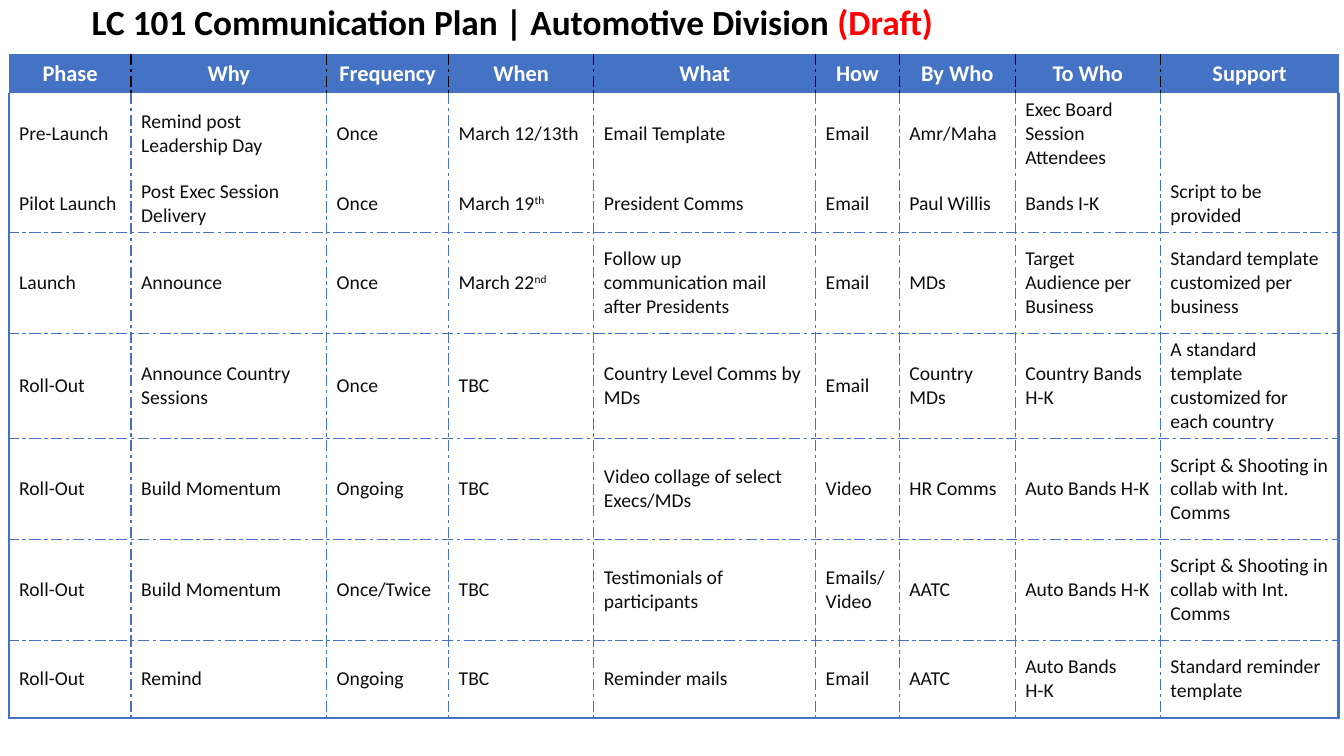
from dataclasses import dataclass

from lxml import etree
from pptx import Presentation
from pptx.dml.color import RGBColor
from pptx.enum.text import MSO_ANCHOR, MSO_AUTO_SIZE, PP_ALIGN
from pptx.oxml.ns import qn
from pptx.util import Inches, Pt

MIDDLE = MSO_ANCHOR.MIDDLE
NO_FIT = MSO_AUTO_SIZE.NONE
LEFT, CENTER = PP_ALIGN.LEFT, PP_ALIGN.CENTER


@dataclass(frozen=True)
class Theme:
    """Colours, type sizes and line widths of the slide."""
    face: str = "Calibri"
    blue: str = "4472C4"
    black: str = "000000"
    white: str = "FFFFFF"
    ink: str = "0D0D0D"
    red: str = "FF0000"
    title: float = 25.2
    head: float = 16
    body: float = 14
    thin: float = 1
    thick: float = 2.25


THEME = Theme()
COLS = [1.21, 1.94, 1.21, 1.44, 2.2, 0.83, 1.15, 1.44, 1.77]
ROWS = [0.35, 0.55, 0.55, 1, 1, 1, 1, 0.77]
PLAN = [
    ["Phase", "Why", "Frequency", "When", "What", "How", "By Who", "To Who",
     "Support"],
    ["Pre-Launch", "Remind post Leadership Day", "Once", "March 12/13th",
     "Email Template", "Email", "Amr/Maha", "Exec Board Session Attendees",
     ""],
    ["Pilot Launch", "Post Exec Session Delivery", "Once", "March 19^th",
     "President Comms", "Email", "Paul Willis", "Bands I-K",
     "Script to be provided"],
    ["Launch", "Announce", "Once", "March 22^nd",
     "Follow up communication mail after Presidents", "Email", "MDs",
     "Target Audience per Business",
     "Standard template customized per business"],
    ["Roll-Out", "Announce Country\nSessions", "Once", "TBC",
     "Country Level Comms by MDs", "Email", "Country\nMDs",
     "Country Bands H-K", "A standard template customized for each country"],
    ["Roll-Out", "Build Momentum", "Ongoing", "TBC",
     "Video collage of select Execs/MDs", "Video", "HR Comms",
     "Auto Bands H-K", "Script & Shooting in collab with Int. Comms"],
    ["Roll-Out", "Build Momentum", "Once/Twice", "TBC",
     "Testimonials of participants", "Emails/\nVideo", "AATC",
     "Auto Bands H-K", "Script & Shooting in collab with Int. Comms"],
    ["Roll-Out", "Remind", "Ongoing", "TBC", "Reminder mails", "Email",
     "AATC", "Auto Bands\nH-K", "Standard reminder template"],
]


def style(run, size, color, bold):
    """Format one run of text."""
    font = run.font
    font.name, font.size, font.bold = THEME.face, Pt(size), bold
    font.color.rgb = RGBColor.from_string(color)


def add_title(slide, left, top, width, height):
    """Place the title with its red draft mark."""
    title = slide.shapes.title
    title.left, title.top = Inches(left), Inches(top)
    title.width, title.height = Inches(width), Inches(height)
    frame = title.text_frame
    frame.auto_size, frame.vertical_anchor = NO_FIT, MIDDLE
    frame.word_wrap = True
    frame.text = "LC 101 Communication Plan | Automotive Division"
    para = frame.paragraphs[0]
    para.alignment, para.line_spacing = LEFT, 0.9
    style(para.runs[0], THEME.title, THEME.black, True)
    draft = para.add_run()
    draft.text = " (Draft)"
    style(draft, THEME.title, THEME.red, True)


def edges(row, col):
    """Give colour and width for each side of a cell, or None for no line."""
    head = row == 0
    thick = (THEME.blue, THEME.thick)
    side = (THEME.black if head else THEME.blue, THEME.thin)
    rule = (THEME.blue, THEME.thin)
    outer = None if head else thick
    return {
        "L": outer if col == 0 else side,
        "R": outer if col == len(COLS) - 1 else side,
        "T": thick if head else rule if row > 2 else None,
        "B": thick if row == len(ROWS) - 1 else rule if row > 1 else None,
    }


def add_line(cell, side, edge):
    """Draw one border of a cell."""
    props = cell._tc.get_or_add_tcPr()
    line = etree.SubElement(props, qn("a:ln" + side))
    if edge is None:
        etree.SubElement(line, qn("a:noFill"))
        return
    color, width = edge
    line.set("w", str(Pt(width)))
    fill = etree.SubElement(line, qn("a:solidFill"))
    etree.SubElement(fill, qn("a:srgbClr")).set("val", color)
    dash = "sysDashDot" if width == THEME.thin else "solid"
    etree.SubElement(line, qn("a:prstDash")).set("val", dash)


def fill_cell(cell, text, head):
    """Write and format the text and fill of a cell."""
    base, _, sup = text.partition("^")
    cell.text = base
    cell.vertical_anchor = MIDDLE
    paras = cell.text_frame.paragraphs
    if sup:
        run = paras[-1].add_run()
        run.text = sup
        run._r.get_or_add_rPr().set("baseline", "30000")
    size = THEME.head if head else THEME.body
    color = THEME.white if head else THEME.ink
    for para in paras:
        para.alignment = CENTER if head else LEFT
        for run in para.runs:
            style(run, size, color, head)
    if head:
        cell.fill.solid()
        cell.fill.fore_color.rgb = RGBColor.from_string(THEME.blue)
    else:
        cell.fill.background()


def add_plan(slide, left, top):
    """Place the communication plan table."""
    frame = slide.shapes.add_table(
        len(ROWS), len(COLS), Inches(left), Inches(top),
        Inches(sum(COLS)), Inches(sum(ROWS)))
    table = frame.table
    table.horz_banding = False
    for col, width in zip(table.columns, COLS):
        col.width = Inches(width)
    for row, height in zip(table.rows, ROWS):
        row.height = Inches(height)
    for r, texts in enumerate(PLAN):
        for c, text in enumerate(texts):
            cell = table.cell(r, c)
            for side, edge in edges(r, c).items():
                add_line(cell, side, edge)
            fill_cell(cell, text, r == 0)


def main():
    """Build and save the slide."""
    deck = Presentation()
    deck.slide_width, deck.slide_height = Inches(13.33), Inches(7.5)
    slide = deck.slides.add_slide(deck.slide_layouts[5])
    add_plan(slide, 0.09, 0.55)
    add_title(slide, 0.81, 0.04, 12, 0.4)
    deck.save("out.pptx")


if __name__ == "__main__":
    main()
